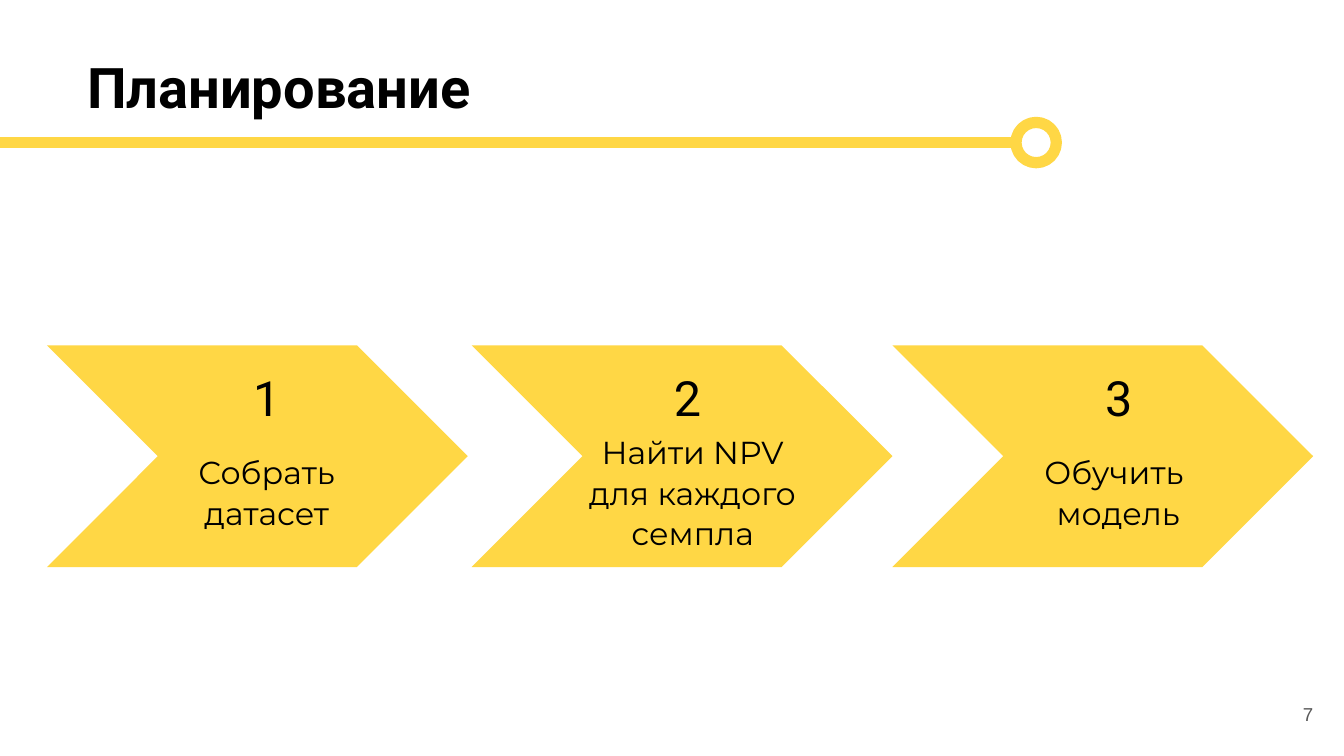
from pptx import Presentation
from pptx.dml.color import RGBColor
from pptx.enum import shapes, text
from pptx.oxml.ns import qn
from pptx.util import Pt

YELLOW = RGBColor(0xFF, 0xD7, 0x45)
BLACK = RGBColor(0, 0, 0)
GREY = RGBColor(0x59, 0x59, 0x59)

RULE_Y = 76.4
RULE_END = 544.3
RING_SIZE = 21.6
STEP_TOP = 185
STEP_WIDTH = 225.4
STEP_HEIGHT = 118.8
NUMBER_WIDTH = 88.6

# chevron left, number, number left, label lines, label left, top, width
STEPS = [
    (25.2, "1", 98.6, ["Собрать датасет"], 69.8, 237.6, 146.2),
    (252.7, "2", 324, ["Найти NPV для каждого семпла"], 303.8, 226.8, 134.6),
    (478.1, "3", 555.1, ["Обучить ", "модель"], 522.7, 237.6, 152.6),
]


def add_text(page, lines, left, top, width, height, font, size, color=BLACK,
             bold=False, align=text.PP_ALIGN.LEFT, spacing=None):
    box = page.shapes.add_textbox(Pt(left), Pt(top), Pt(width), Pt(height))
    frame = box.text_frame
    frame.word_wrap = True
    for index, line in enumerate(lines):
        para = frame.add_paragraph() if index else frame.paragraphs[0]
        para.alignment = align
        para.line_spacing = spacing
        span = para.add_run()
        span.text = line
        span.font.name = font
        span.font.size = Pt(size)
        span.font.bold = bold
        span.font.color.rgb = color
    return box


def add_title_rule(page):
    """Draw the thick rule under the title and the ring that ends it."""
    rule = page.shapes.add_connector(
        shapes.MSO_CONNECTOR.STRAIGHT, 0, Pt(RULE_Y), Pt(RULE_END), Pt(RULE_Y))
    properties = rule._element.spPr
    ring = page.shapes.add_shape(
        shapes.MSO_SHAPE.OVAL, Pt(RULE_END), Pt(RULE_Y - RING_SIZE / 2),
        Pt(RING_SIZE), Pt(RING_SIZE))
    ring.shadow.inherit = False
    ring.fill.background()
    for item in (rule, ring):
        item.line.color.rgb = YELLOW
        item.line.width = Pt(6)
    properties.append(properties.makeelement(qn("a:effectLst"), {}))


def add_chevron(page, left):
    chevron = page.shapes.add_shape(
        shapes.MSO_SHAPE.CHEVRON, Pt(left), Pt(STEP_TOP),
        Pt(STEP_WIDTH), Pt(STEP_HEIGHT))
    chevron.adjustments[0] = 0.5
    chevron.shadow.inherit = False
    chevron.fill.solid()
    chevron.fill.fore_color.rgb = YELLOW
    chevron.line.fill.background()


def add_step(page, left, number, number_left, lines, label_left, label_top,
             label_width):
    centred = {"align": text.PP_ALIGN.CENTER, "spacing": 1.07}
    add_chevron(page, left)
    add_text(page, [number], number_left, 191.5, NUMBER_WIDTH, 38.9,
             "Roboto", 26, **centred)
    add_text(page, lines, label_left, label_top, label_width, 72.7,
             "Montserrat", 17, **centred)


def add_page_number(page, number):
    box = add_text(page, [number], 667.4, 367.2, 43.2, 31, "Arial", 10, GREY,
                   align=text.PP_ALIGN.RIGHT)
    frame = box.text_frame
    frame.vertical_anchor = text.MSO_ANCHOR.MIDDLE
    frame.margin_top = frame.margin_bottom = Pt(7.2)


def main():
    deck = Presentation()
    deck.slide_width, deck.slide_height = Pt(720), Pt(405)
    page = deck.slides.add_slide(deck.slide_layouts[6])
    add_text(page, ["Планирование"], 39.6, 24.5, 532, 81.4, "Roboto", 30,
             bold=True)
    add_title_rule(page)
    for step in STEPS:
        add_step(page, *step)
    add_page_number(page, "7")
    deck.save("out.pptx")


if __name__ == "__main__":
    main()
